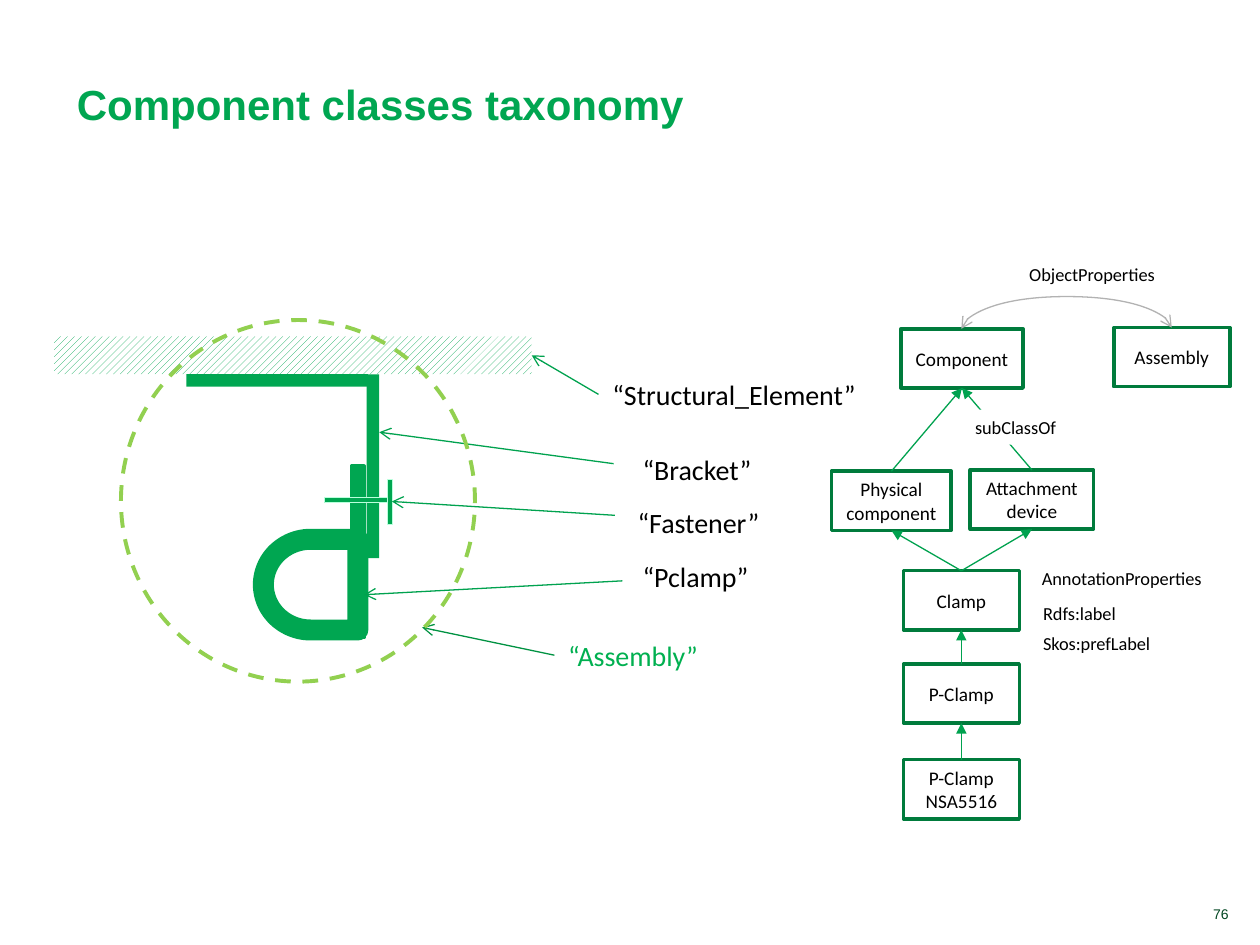
from typing import NamedTuple, Optional

from lxml.etree import SubElement
from pptx import Presentation
from pptx.dml.color import RGBColor
from pptx.enum.dml import MSO_LINE, MSO_PATTERN
from pptx.enum.shapes import MSO_CONNECTOR, MSO_SHAPE
from pptx.enum.text import MSO_ANCHOR, MSO_AUTO_SIZE, PP_ALIGN
from pptx.oxml.ns import qn
from pptx.util import Inches, Pt

COLS, ROWS = 100, 75
WIDTH, HEIGHT = Inches(10), Inches(7.5)
GREEN, DARK_GREEN, ARROW_GREEN = "00A651", "007B3C", "00A24F"
PALE_GREEN, LIME, GREY, BLACK, WHITE = "BAFFDC", "92D050", "B2B2B2", "000000", "FFFFFF"


class Area(NamedTuple):
    """Left, top, width and height in grid columns and rows."""
    x: float
    y: float
    w: float
    h: float

    @property
    def top(self):
        return self.x + self.w / 2, self.y

    @property
    def bottom(self):
        return self.x + self.w / 2, self.y + self.h


class Part(NamedTuple):
    area: Area
    kind: MSO_SHAPE = MSO_SHAPE.RECTANGLE
    fill: Optional[str] = GREEN
    line: Optional[str] = None
    weight: float = 0
    rotation: int = 0


class Label(NamedTuple):
    text: str
    area: Area
    color: str = BLACK


class Pointer(NamedTuple):
    start: tuple
    end: tuple
    color: str = ARROW_GREEN


def rgb(color: str) -> RGBColor:
    return RGBColor.from_string(color)


def col(n: float) -> int:
    return round(WIDTH * n / COLS)


def row(n: float) -> int:
    return round(HEIGHT * n / ROWS)


def emu(a: Area) -> tuple:
    return col(a.x), row(a.y), col(a.w), row(a.h)


def add_part(s, part: Part):
    sp = s.shapes.add_shape(part.kind, *emu(part.area))
    sp.shadow.inherit = False
    sp.rotation = part.rotation
    if part.fill:
        sp.fill.solid()
        sp.fill.fore_color.rgb = rgb(part.fill)
    else:
        sp.fill.background()
    if part.line:
        sp.line.color.rgb = rgb(part.line)
        sp.line.width = Pt(part.weight)
    else:
        sp.line.fill.background()
    return sp


def write(sp, text: str, size: float, color: str = BLACK, font: str = "Calibri",
          align=PP_ALIGN.LEFT, anchor=MSO_ANCHOR.TOP, wrap=True, bold=False):
    tf = sp.text_frame
    tf.word_wrap = wrap
    tf.auto_size = MSO_AUTO_SIZE.NONE if wrap else MSO_AUTO_SIZE.SHAPE_TO_FIT_TEXT
    tf.vertical_anchor = anchor
    p = tf.paragraphs[0]
    p.text = text
    p.alignment = align
    p.font.name, p.font.size, p.font.bold = font, Pt(size), bold
    p.font.color.rgb = rgb(color)


def inset(sp):
    tf = sp.text_frame
    tf.margin_left = tf.margin_right = Inches(0.11)
    tf.margin_top = tf.margin_bottom = Inches(0.06)


def add_arrow(s, start: tuple, end: tuple, color: str, tail: str,
              head: Optional[str] = None, kind=MSO_CONNECTOR.STRAIGHT):
    cx = s.shapes.add_connector(kind, col(start[0]), row(start[1]), col(end[0]), row(end[1]))
    cx.line.color.rgb = rgb(color)
    cx.line.width = Pt(0.75)
    ln = cx.line._get_or_add_ln()
    if head:
        SubElement(ln, qn("a:headEnd"), type=head)
    SubElement(ln, qn("a:tailEnd"), type=tail)
    SubElement(cx._element.spPr, qn("a:effectLst"))
    return cx


def add_arch(s, frame: Area, rise: float):
    """Curved double arrow whose frame is turned a quarter, bulging upwards by rise."""
    cx = add_arrow(s, (frame.x, frame.y), (frame.x + frame.w, frame.y + frame.h),
                   GREY, "arrow", "arrow", MSO_CONNECTOR.CURVE)
    spPr = cx._element.spPr
    for key, value in (("rot", "5400000"), ("flipH", "1"), ("flipV", "1")):
        spPr.find(qn("a:xfrm")).set(key, value)
    guides = spPr.find(qn("a:prstGeom")).get_or_add_avLst()
    SubElement(guides, qn("a:gd"), name="adj1", fmla=f"val {round(rise / frame.w * 100000)}")


PARTS = [
    Part(Area(14.8, 29.7, 14.4, 1)),
    Part(Area(22.3, 36.5, 14.6, 1), rotation=270),
    Part(Area(21.6, 43.3, 13.6, 1), line=GREEN, weight=2, rotation=270),
    Part(Area(20.9, 42.8, 7.5, 7.2), MSO_SHAPE.FLOWCHART_DELAY, None, GREEN, 12, 180),
    Part(Area(25.7, 39.5, 5.2, 0.4), MSO_SHAPE.FLOWCHART_PROCESS, GREEN, PALE_GREEN, 0.25),
    Part(Area(29.1, 39.6, 3.6, 0.4), MSO_SHAPE.FLOWCHART_PROCESS, GREEN, PALE_GREEN, 0.25, 270),
]
PART_LABELS = [
    Label("“Structural_Element”", Area(47.5, 29.4, 21.9, 3.8)),
    Label("“Bracket”", Area(49.9, 35.3, 11.1, 3.8)),
    Label("“Fastener”", Area(49.5, 39.5, 12.1, 3.8)),
    Label("“Pclamp”", Area(49.9, 43.8, 10.8, 3.8)),
    Label("“Assembly”", Area(44, 50.1, 12.7, 3.8), "00B050"),
]
POINTERS = [
    Pointer((47.5, 31.3), (42.2, 28.2)),
    Pointer((48.7, 36.8), (30.1, 34.3)),
    Pointer((48.8, 40.9), (31.1, 39.8)),
    Pointer((49.4, 46.1), (28.9, 47.2)),
    Pointer((44, 52), (33.5, 49.8), "009242"),
]
CLASSES = {
    "Physical component": Area(66, 37.4, 9.5, 4.7),
    "Clamp": Area(71.7, 45.3, 9.2, 4.7),
    "P-Clamp": Area(71.7, 52.7, 9.2, 4.7),
    "P-Clamp NSA5516": Area(71.7, 60.3, 9.2, 4.7),
    "Attachment device": Area(77, 37.3, 9.8, 4.7),
    "Component": Area(71.5, 26.1, 9.7, 4.7),
    "Assembly": Area(88.4, 26, 9.2, 4.7),
}
SUBCLASS_OF = [
    ("Clamp", "Physical component"), ("Clamp", "Attachment device"),
    ("P-Clamp", "Clamp"), ("P-Clamp NSA5516", "P-Clamp"),
    ("Attachment device", "Component"), ("Physical component", "Component"),
]
PROPERTY_LABELS = [
    Label("ObjectProperties", Area(80.7, 20.4, 12.2, 2.8)),
    Label("subClassOf", Area(76.4, 32.5, 8.6, 2.8)),
    Label("Rdfs:label", Area(81.8, 47.3, 7.9, 2.8)),
    Label("Skos:prefLabel", Area(81.8, 49.7, 10.7, 2.8)),
    Label("AnnotationProperties", Area(81.7, 44.5, 14.9, 2.8)),
]


def draw_assembly(s):
    beam = add_part(s, Part(Area(4.3, 26.7, 37.9, 3)))
    beam.fill.patterned()
    beam.fill.pattern = MSO_PATTERN.WIDE_UPWARD_DIAGONAL
    beam.fill.fore_color.rgb = rgb(GREEN)
    beam.fill.back_color.rgb = rgb(WHITE)
    for part in PARTS:
        add_part(s, part)
    for label in PART_LABELS:
        tb = s.shapes.add_textbox(*emu(label.area))
        inset(tb)
        write(tb, label.text, 16, label.color, wrap=False)
    for pointer in POINTERS:
        add_arrow(s, pointer.start, pointer.end, pointer.color, "arrow")
    ring = add_part(s, Part(Area(9.6, 25.4, 28.1, 28.7), MSO_SHAPE.OVAL, None, LIME, 2.25))
    ring.line.dash_style = MSO_LINE.DASH


def draw_taxonomy(s):
    for name, area in CLASSES.items():
        box = add_part(s, Part(area, fill=None, line=DARK_GREEN, weight=2))
        inset(box)
        write(box, name, 11, align=PP_ALIGN.CENTER, anchor=MSO_ANCHOR.MIDDLE)
    for child, parent in SUBCLASS_OF:
        add_arrow(s, CLASSES[child].top, CLASSES[parent].bottom, ARROW_GREEN, "triangle")
    add_arch(s, Area(84.6, 17.7, 0.1, 16.7), 2.6)
    for label in PROPERTY_LABELS:
        sp = add_part(s, Part(label.area, fill=WHITE))
        write(sp, label.text, 10.5, wrap=False)


def main():
    prs = Presentation()
    prs.slide_width, prs.slide_height = WIDTH, HEIGHT
    s = prs.slides.add_slide(prs.slide_layouts[5])
    title = s.shapes.title
    title.left, title.top, title.width, title.height = emu(Area(5.1, 1.6, 68.1, 9.1))
    write(title, "Component classes taxonomy", 24, GREEN, "Arial",
          anchor=MSO_ANCHOR.BOTTOM, bold=True)
    number = s.shapes.add_textbox(*emu(Area(85.4, 71.4, 13.1, 2.3)))
    write(number, "76", 8, "004621", "Arial", PP_ALIGN.RIGHT, MSO_ANCHOR.BOTTOM)
    draw_assembly(s)
    draw_taxonomy(s)
    prs.save("out.pptx")


if __name__ == "__main__":
    main()
